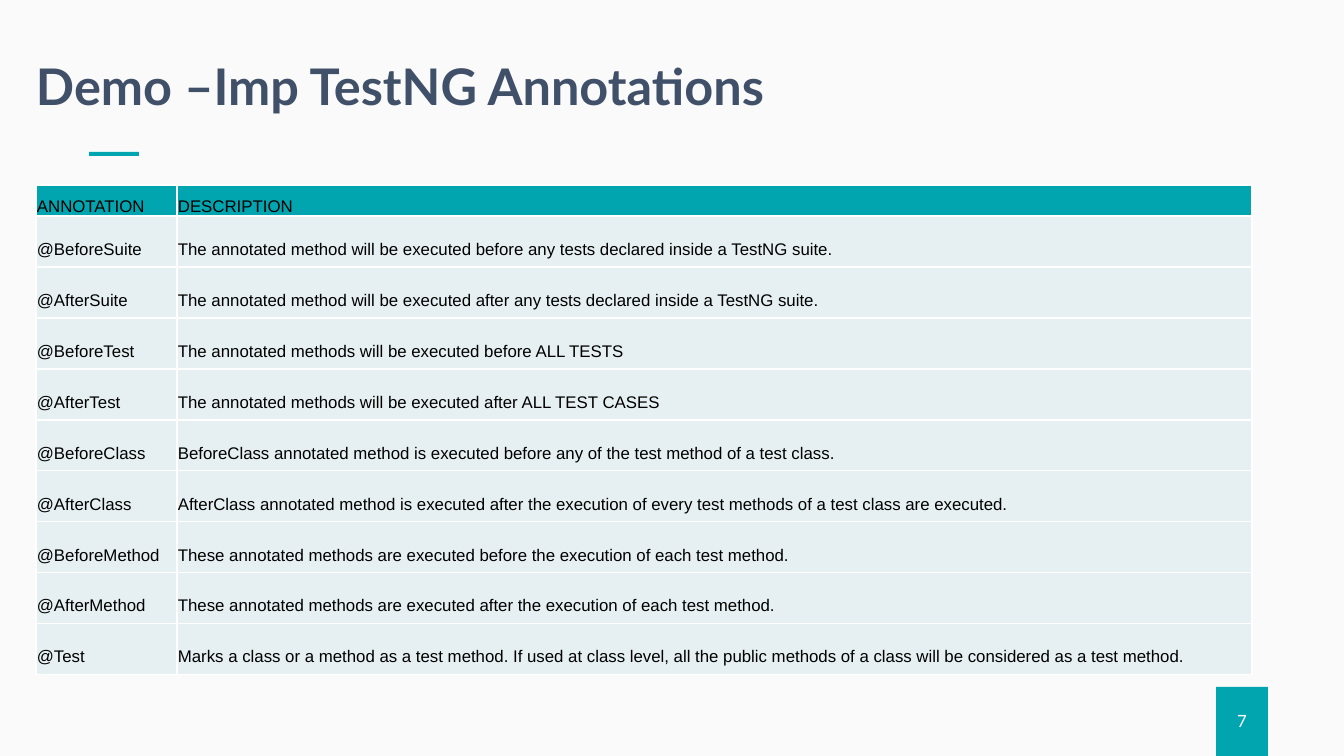
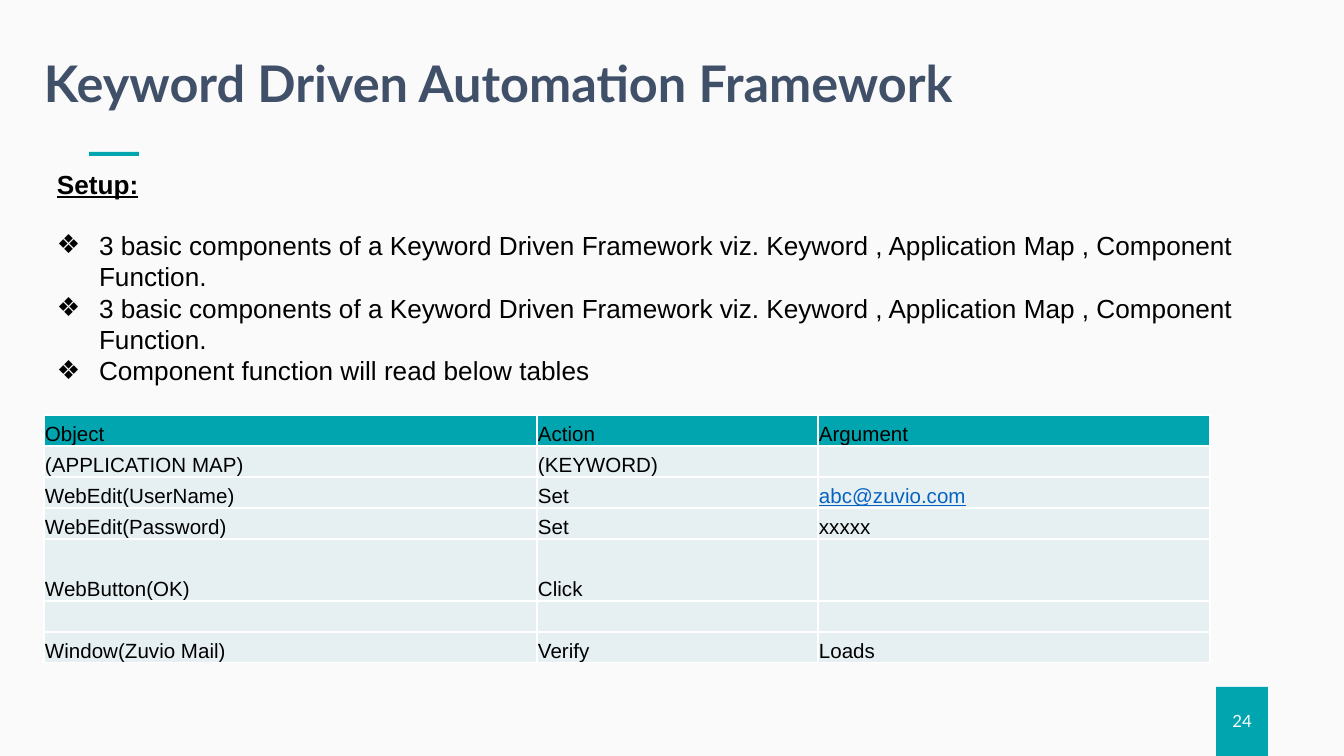
from dataclasses import dataclass

from lxml.etree import SubElement
from pptx import Presentation
from pptx.dml.color import RGBColor
from pptx.enum.shapes import MSO_SHAPE
from pptx.enum.text import MSO_ANCHOR, MSO_AUTO_SIZE, PP_ALIGN
from pptx.oxml.ns import qn
from pptx.util import Pt

EMU_PER_PX = 9144000 / 1344


def px(length):
    return round(length * EMU_PER_PX)


@dataclass(frozen=True)
class Theme:
    paper: str = "FAFAFA"
    accent: str = "00A5AF"
    heading: str = "415069"
    ink: str = "000000"
    white: str = "FFFFFF"
    row: str = "E6F0F2"
    link: str = "0563C1"
    title_font: str = "Lato"
    body_font: str = "Arial"
    title_size: int = 27
    body_size: int = 14
    cell_size: int = 11
    small_size: int = 9


def apply(target, values):
    for name, value in values.items():
        setattr(target, name, value)


class SlideBuilder:
    def __init__(self, deck, theme):
        self.deck = deck
        self.theme = theme
        self.slide = None

    # Slide frame: background, page tab, accent rule and title
    def start(self, title, left, top, width, number):
        theme = self.theme
        self.slide = self.deck.slides.add_slide(self.deck.slide_layouts[6])
        self.paint(self.slide.background.fill, theme.paper)
        self.block(1216, 687, 52, 69)
        page = self.text_box(1218, 711, 48, 20).paragraphs[0]
        page.alignment = PP_ALIGN.CENTER
        self.span(page, str(number), theme.small_size, theme.white, name=theme.title_font)
        self.block(89, 152, 50, 4)
        heading = self.text_box(left, top, width, 54).paragraphs[0]
        heading.line_spacing = 0.9
        self.span(heading, title, theme.title_size, theme.heading,
                  name=theme.title_font, bold=True)

    def paint(self, fill, color):
        fill.solid()
        fill.fore_color.rgb = RGBColor.from_string(color)

    def block(self, left, top, width, height):
        shape = self.slide.shapes.add_shape(
            MSO_SHAPE.RECTANGLE, px(left), px(top), px(width), px(height))
        shape.shadow.inherit = False
        self.paint(shape.fill, self.theme.accent)
        shape.line.fill.background()

    def text_box(self, left, top, width, height, inset_x=0, inset_y=0):
        box = self.slide.shapes.add_textbox(px(left), px(top), px(width), px(height))
        apply(box.text_frame, {
            "word_wrap": True,
            "margin_left": px(inset_x), "margin_right": px(inset_x),
            "margin_top": px(inset_y), "margin_bottom": px(inset_y),
        })
        return box.text_frame

    def span(self, para, text, size, color=None, **values):
        span = para.add_run()
        span.text = text
        apply(span.font, {"name": self.theme.body_font, "size": Pt(size), **values})
        span.font.color.rgb = RGBColor.from_string(color or self.theme.ink)

    # Underlined lead line followed by a bulleted list
    def bullet_list(self, lead, items, left, top, width, height):
        size = self.theme.body_size
        frame = self.text_box(left, top, width, height, 13, 7)
        frame.auto_size = MSO_AUTO_SIZE.SHAPE_TO_FIT_TEXT
        para = frame.paragraphs[0]
        para.space_after = Pt(16)
        self.span(para, lead, size, bold=True, underline=True)
        for item in items:
            para = frame.add_paragraph()
            self.span(para, item, size)
            self.bullet(para, "❖", 42)

    def bullet(self, para, symbol, indent):
        settings = para._p.get_or_add_pPr()
        settings.set("marL", str(px(indent)))
        settings.set("indent", str(-px(indent)))
        color = SubElement(settings, qn("a:buClr"))
        SubElement(color, qn("a:srgbClr"), val=self.theme.ink)
        SubElement(settings, qn("a:buFont"), typeface=self.theme.body_font)
        SubElement(settings, qn("a:buChar"), char=symbol)

    # Table with an accent header row and white cell borders
    def table(self, rows, left, top, widths, heights, size, inset=1):
        table = self.slide.shapes.add_table(
            len(rows), len(widths), px(left), px(top),
            px(sum(widths)), px(sum(heights))).table
        apply(table, {"first_row": False, "horz_banding": False})
        for column, width in zip(table.columns, widths):
            column.width = px(width)
        for index, (texts, height) in enumerate(zip(rows, heights)):
            table.rows[index].height = px(height)
            for column, text in enumerate(texts):
                self.cell(table.cell(index, column), text, size,
                          inset if index else 1, is_header=index == 0)

    def cell(self, cell, text, size, inset, is_header):
        theme = self.theme
        apply(cell, {
            "vertical_anchor": MSO_ANCHOR.BOTTOM,
            "margin_left": px(1), "margin_right": px(1),
            "margin_top": px(inset), "margin_bottom": px(inset - 1),
        })
        self.borders(cell)
        self.paint(cell.fill, theme.accent if is_header else theme.row)
        para = cell.text_frame.paragraphs[0]
        if not text:
            SubElement(para._p, qn("a:endParaRPr"), sz=str(size * 100))
        elif text.startswith("abc@"):
            self.span(para, text, size, theme.link, underline=True)
        else:
            self.span(para, text, size)

    def borders(self, cell):
        settings = cell._tc.get_or_add_tcPr()
        for side in ("lnL", "lnR", "lnT", "lnB"):
            line = SubElement(settings, qn(f"a:{side}"), w=str(Pt(1)))
            fill = SubElement(line, qn("a:solidFill"))
            SubElement(fill, qn("a:srgbClr"), val=self.theme.white)


ANNOTATIONS = [
    ("ANNOTATION", "DESCRIPTION"),
    ("@BeforeSuite", "The annotated method will be executed before any tests "
                     "declared inside a TestNG suite."),
    ("@AfterSuite", "The annotated method will be executed after any tests "
                    "declared inside a TestNG suite."),
    ("@BeforeTest", "The annotated methods will be executed before ALL TESTS"),
    ("@AfterTest", "The annotated methods will be executed after ALL TEST CASES"),
    ("@BeforeClass", "BeforeClass annotated method is executed before any of the "
                     "test method of a test class."),
    ("@AfterClass", "AfterClass annotated method is executed after the execution "
                    "of every test methods of a test class are executed."),
    ("@BeforeMethod", "These annotated methods are executed before the execution "
                      "of each test method."),
    ("@AfterMethod", "These annotated methods are executed after the execution "
                     "of each test method."),
    ("@Test", "Marks a class or a method as a test method. If used at class level, "
              "all the public methods of a class will be considered as a test method."),
]

COMPONENTS = ("3 basic components of a Keyword Driven Framework viz. "
              "Keyword , Application Map , Component Function.")

KEYWORDS = [
    ("Object", "Action", "Argument"),
    ("(APPLICATION MAP)", "(KEYWORD)", ""),
    ("WebEdit(UserName)", "Set", "abc@zuvio.com"),
    ("WebEdit(Password)", "Set", "xxxxx"),
    ("WebButton(OK)", "Click", ""),
    ("", "", ""),
    ("Window(Zuvio Mail)", "Verify", "Loads"),
]


def main():
    deck = Presentation()
    apply(deck, {"slide_width": px(1344), "slide_height": px(756)})
    theme = Theme()
    builder = SlideBuilder(deck, theme)

    # Annotations
    builder.start("Demo –Imp TestNG Annotations", 36, 62, 1169, 7)
    builder.table(ANNOTATIONS, 36, 185, [141, 1075], [31] + [51] * 9,
                  theme.small_size, inset=9)

    # Keyword driven framework
    builder.start("Keyword Driven Automation Framework", 44, 59, 1106, 24)
    builder.bullet_list(
        "Setup:",
        [COMPONENTS, COMPONENTS, "Component function will read below tables"],
        44, 161, 1235, 267)
    builder.table(KEYWORDS, 44, 415, [493, 281, 392], [31] * 4 + [62] + [31] * 2,
                  theme.cell_size)

    deck.save("out.pptx")


if __name__ == "__main__":
    main()
